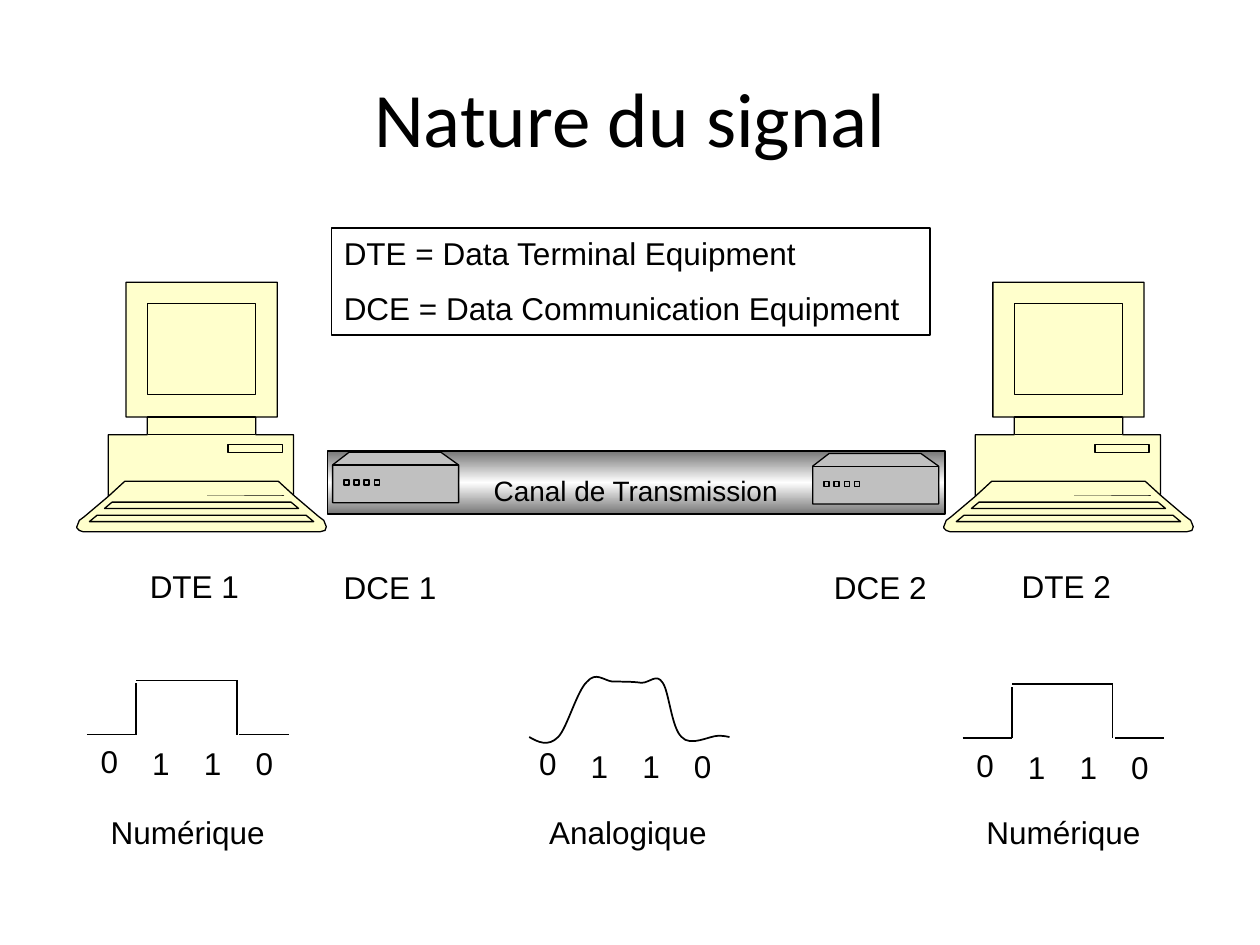
from copy import deepcopy
from dataclasses import dataclass

from pptx import Presentation
from pptx.dml.color import RGBColor
from pptx.enum.shapes import MSO_CONNECTOR, MSO_SHAPE
from pptx.enum.text import MSO_ANCHOR, MSO_AUTO_SIZE, PP_ALIGN
from pptx.oxml.ns import qn
from pptx.oxml.xmlchemy import OxmlElement
from pptx.util import Inches, Pt

RECTANGLE = MSO_SHAPE.RECTANGLE
STRAIGHT = MSO_CONNECTOR.STRAIGHT
TOP, MIDDLE = MSO_ANCHOR.TOP, MSO_ANCHOR.MIDDLE
LEFT, CENTER = PP_ALIGN.LEFT, PP_ALIGN.CENTER
GROW, FIXED = MSO_AUTO_SIZE.SHAPE_TO_FIT_TEXT, MSO_AUTO_SIZE.NONE


@dataclass(frozen=True)
class Theme:
    ink: RGBColor = RGBColor(0, 0, 0)
    computer: RGBColor = RGBColor(0xFF, 0xFF, 0xCC)
    modem: RGBColor = RGBColor(0xC0, 0xC0, 0xC0)
    tube_edge: RGBColor = RGBColor(0x76, 0x76, 0x76)
    tube_core: RGBColor = RGBColor(0xFF, 0xFF, 0xFF)
    title_font: str = "Calibri"
    body_font: str = "Arial"
    title_size: float = 44
    body_size: float = 18
    channel_size: float = 16
    line_gap: float = 9.5
    outline: float = 1
    thin_outline: float = 0.75


def apply_format(target, values):
    for name, value in values.items():
        setattr(target, name, value)


def rectangle(left, top, width, height):
    """Corner points of a rectangle, as a closed contour."""
    right, bottom = left + width, top + height
    return [(left, top), (left, bottom), (right, bottom), (right, top)], True


def split_contours(path):
    """Give every contour its own path, so that none cuts a hole in another."""
    current = None
    for command in list(path):
        if command.tag == qn("a:moveTo"):
            current = OxmlElement("a:path")
            current.set("w", path.get("w"))
            current.set("h", path.get("h"))
            path.addprevious(current)
        current.append(command)
    path.getparent().remove(path)


def bend_segments(path):
    """Turn each three line segments into one Bézier segment."""
    segments = path.findall(qn("a:lnTo"))
    for start in range(0, len(segments), 3):
        curve = OxmlElement("a:cubicBezTo")
        segments[start].addprevious(curve)
        for segment in segments[start:start + 3]:
            curve.append(segment[0])
            path.remove(segment)


class SlideBuilder:
    def __init__(self, slide, theme):
        self.shapes = slide.shapes
        self.theme = theme

    def _outline(self, shape, width):
        shape.shadow.inherit = False
        shape.line.color.rgb = self.theme.ink
        shape.line.width = Pt(width)

    def _write(self, shape, lines, frame_format, font_format, align=LEFT):
        frame = shape.text_frame
        apply_format(frame, frame_format)
        for index, line in enumerate(lines):
            paragraph = frame.add_paragraph() if index else frame.paragraphs[0]
            paragraph.alignment = align
            if index:
                paragraph.space_before = Pt(self.theme.line_gap)
            run = paragraph.add_run()
            run.text = line
            apply_format(run.font, font_format)
            run.font.color.rgb = self.theme.ink

    def _body_font(self, size=None):
        return {"name": self.theme.body_font, "size": Pt(size or self.theme.body_size)}

    def title(self, text, *box):
        self._write(
            self.shapes.add_textbox(*map(Inches, box)), [text],
            {"word_wrap": True, "auto_size": FIXED, "vertical_anchor": MIDDLE},
            {"name": self.theme.title_font, "size": Pt(self.theme.title_size)}, CENTER)

    def label(self, text, *box, size=None):
        self._write(
            self.shapes.add_textbox(*map(Inches, box)), [text],
            {"word_wrap": False, "auto_size": GROW, "vertical_anchor": TOP},
            self._body_font(size))

    def legend(self, lines, *box):
        shape = self.shapes.add_shape(RECTANGLE, *map(Inches, box))
        shape.fill.background()
        self._outline(shape, self.theme.outline)
        self._write(
            shape, lines,
            {"word_wrap": True, "auto_size": FIXED, "vertical_anchor": TOP},
            self._body_font())

    def tube(self, *box):
        shape = self.shapes.add_shape(RECTANGLE, *map(Inches, box))
        self._outline(shape, self.theme.outline)
        shape.fill.gradient()
        shape.fill.gradient_angle = 90
        stop_list = next(shape._element.iter(qn("a:gsLst")))
        stop_list.insert(1, deepcopy(stop_list[0]))
        edge, core = self.theme.tube_edge, self.theme.tube_core
        for stop, color, position in zip(
                shape.fill.gradient_stops, (edge, core, edge), (0, 0.5, 1)):
            stop.color.rgb = color
            stop.position = position

    def line(self, start, end):
        connector = self.shapes.add_connector(STRAIGHT, *map(Inches, (*start, *end)))
        connector.line.color.rgb = self.theme.ink
        connector.line.width = Pt(self.theme.outline)
        connector._element.spPr.append(OxmlElement("a:effectLst"))

    def _freeform(self, left, top, contours, line_width):
        placed = [([(Inches(left + x), Inches(top + y)) for x, y in points], closed)
                  for points, closed in contours]
        builder = self.shapes.build_freeform(*placed[0][0][0])
        for index, (points, closed) in enumerate(placed):
            if index:
                builder.move_to(*points[0])
            builder.add_line_segments(points[1:], close=closed)
        shape = builder.convert_to_shape()
        self._outline(shape, line_width)
        return shape, next(shape._element.iter(qn("a:path")))

    def drawing(self, left, top, contours, color):
        shape, path = self._freeform(left, top, contours, self.theme.thin_outline)
        shape.fill.solid()
        shape.fill.fore_color.rgb = color
        split_contours(path)

    def curve(self, left, top, points):
        shape, path = self._freeform(left, top, [(points, False)], self.theme.outline)
        shape.fill.background()
        bend_segments(path)

    def bits(self, left, top):
        for index, bit in enumerate("0110"):
            drop = 0.02 if index else 0
            self.label(bit, left + 0.41 * index, top + drop, 0.34, 0.4)

    def square_wave(self, left, base):
        rise, fall, high = left + 0.39, left + 1.19, base - 0.43
        for start, end in (((left, base), (rise, base)),
                           ((rise, base), (rise, high + 0.02)),
                           ((fall, high), (fall, base)),
                           ((fall + 0.02, base), (left + 1.6, base)),
                           ((fall, high), (rise, high))):
            self.line(start, end)


def keyboard_row(index):
    middle, half, top = 0.99, 0.65 + 0.12 * index, 1.64 + 0.105 * index
    return [(middle + half, top + 0.05), (middle + half - 0.06, top),
            (middle - half + 0.06, top), (middle - half, top + 0.05)], True


COMPUTER = [
    ([(1.92, 1.86), (1.72, 1.69), (1.72, 1.21), (1.42, 1.21), (1.42, 1.07),
      (1.59, 1.07), (1.59, 0), (0.39, 0), (0.39, 1.07), (0.56, 1.07),
      (0.56, 1.21), (0.25, 1.21), (0.25, 1.7), (0.06, 1.86), (0.02, 1.89),
      (0, 1.94), (0, 1.95), (0.02, 1.97), (0.05, 1.98), (1.93, 1.98),
      (1.97, 1.97), (1.98, 1.94), (1.96, 1.89)], True),
    *map(keyboard_row, range(3)),
    ([(1.72, 1.69), (1.6, 1.58), (0.38, 1.58), (0.25, 1.7)], False),
    rectangle(1.2, 1.29, 0.43, 0.06),
    rectangle(0.56, 0.17, 0.86, 0.72),
    rectangle(0.56, 1.07, 0.86, 0.14),
]
MODEM = [
    ([(0, 0.1), (0.13, 0), (0.86, 0), (1, 0.1), (1, 0.4), (0, 0.4)], True),
    ([(0, 0.1), (1, 0.1)], False),
    *(rectangle(0.09 + 0.08 * lamp, 0.22, 0.04, 0.04) for lamp in range(4)),
]
ANALOG_WAVE = [
    (0, 0.52), (0.07, 0.56), (0.15, 0.6), (0.23, 0.52), (0.3, 0.45), (0.38, 0.15),
    (0.46, 0.08), (0.53, 0), (0.59, 0.07), (0.66, 0.08), (0.74, 0.08), (0.83, 0.08),
    (0.89, 0.09), (0.96, 0.09), (1.01, 0.01), (1.06, 0.09), (1.11, 0.16), (1.13, 0.45),
    (1.21, 0.52), (1.28, 0.6), (1.43, 0.51), (1.5, 0.51), (1.56, 0.51), (1.58, 0.52),
    (1.59, 0.52),
]


def main():
    presentation = Presentation()
    presentation.slide_width, presentation.slide_height = Inches(10), Inches(7.5)
    theme = Theme()
    page = SlideBuilder(
        presentation.slides.add_slide(presentation.slide_layouts[6]), theme)

    page.title("Nature du signal", 0.5, 0.3, 9, 1.25)
    page.tube(2.6, 3.58, 4.9, 0.5)
    for name, left, label_left in (("DTE 1", 0.61, 1.09), ("DTE 2", 7.49, 8.01)):
        page.drawing(left, 2.24, COMPUTER, theme.computer)
        page.label(name, label_left, 4.45, 0.91, 0.4)
    for name, left, top, label_left in (("DCE 1", 2.64, 3.59, 2.63),
                                        ("DCE 2", 6.45, 3.6, 6.52)):
        page.drawing(left, top, MODEM, theme.modem)
        page.label(name, label_left, 4.46, 0.94, 0.32)
    page.label("Canal de Transmission", 3.82, 3.71, 2.47, 0.37, size=theme.channel_size)

    for left, base, label_left in ((0.69, 5.83, 0.78), (7.64, 5.86, 7.73)):
        page.square_wave(left, base)
        page.bits(left + 0.01, base + 0.01)
        page.label("Numérique", label_left, 6.4, 1.42, 0.4)
    page.bits(4.18, 5.86)
    page.curve(4.2, 5.33, ANALOG_WAVE)
    page.label("Analogique", 4.26, 6.4, 1.45, 0.4)
    page.legend(["DTE = Data Terminal Equipment", "DCE = Data Communication Equipment"],
                2.63, 1.81, 4.75, 0.85)
    presentation.save("out.pptx")


if __name__ == "__main__":
    main()
